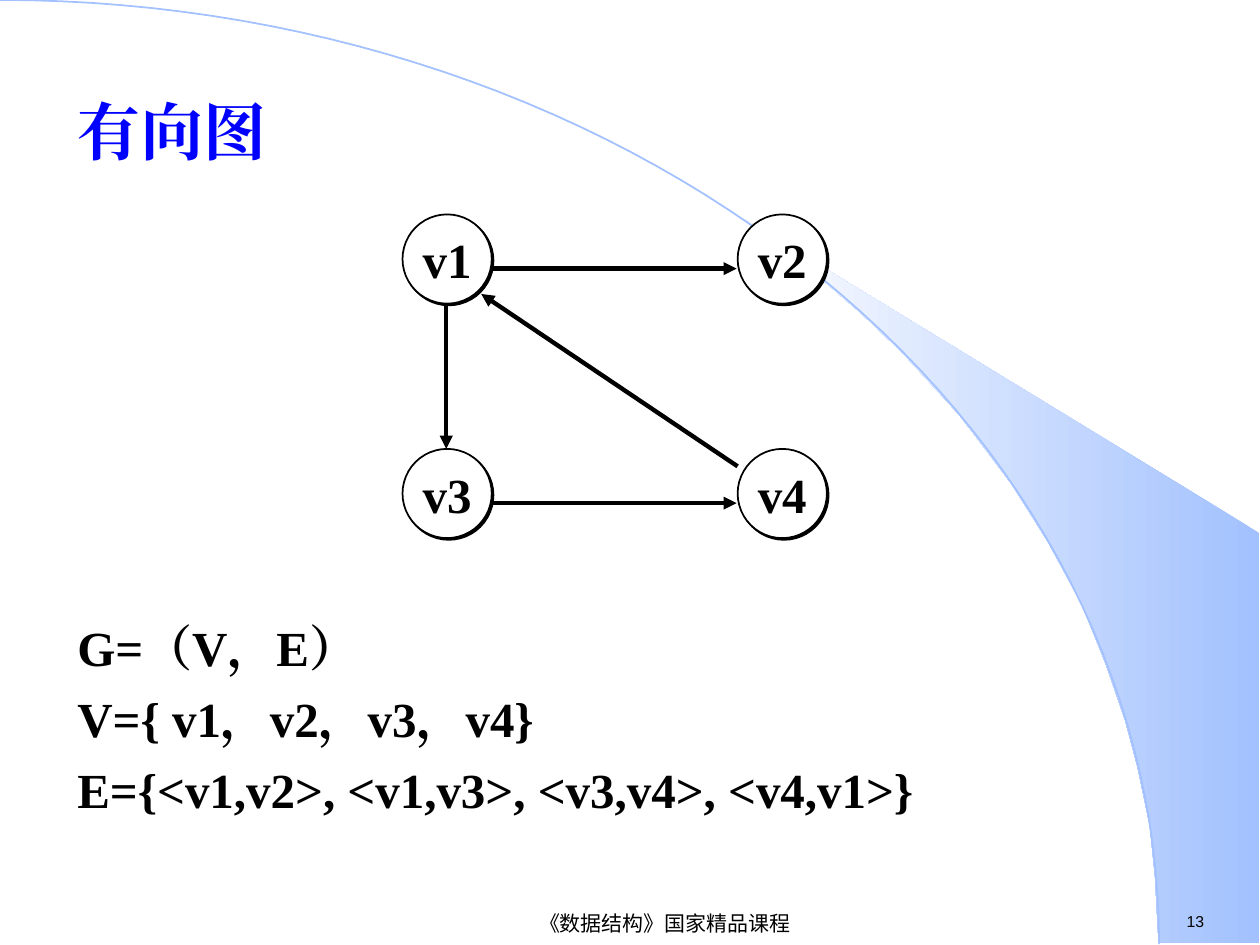
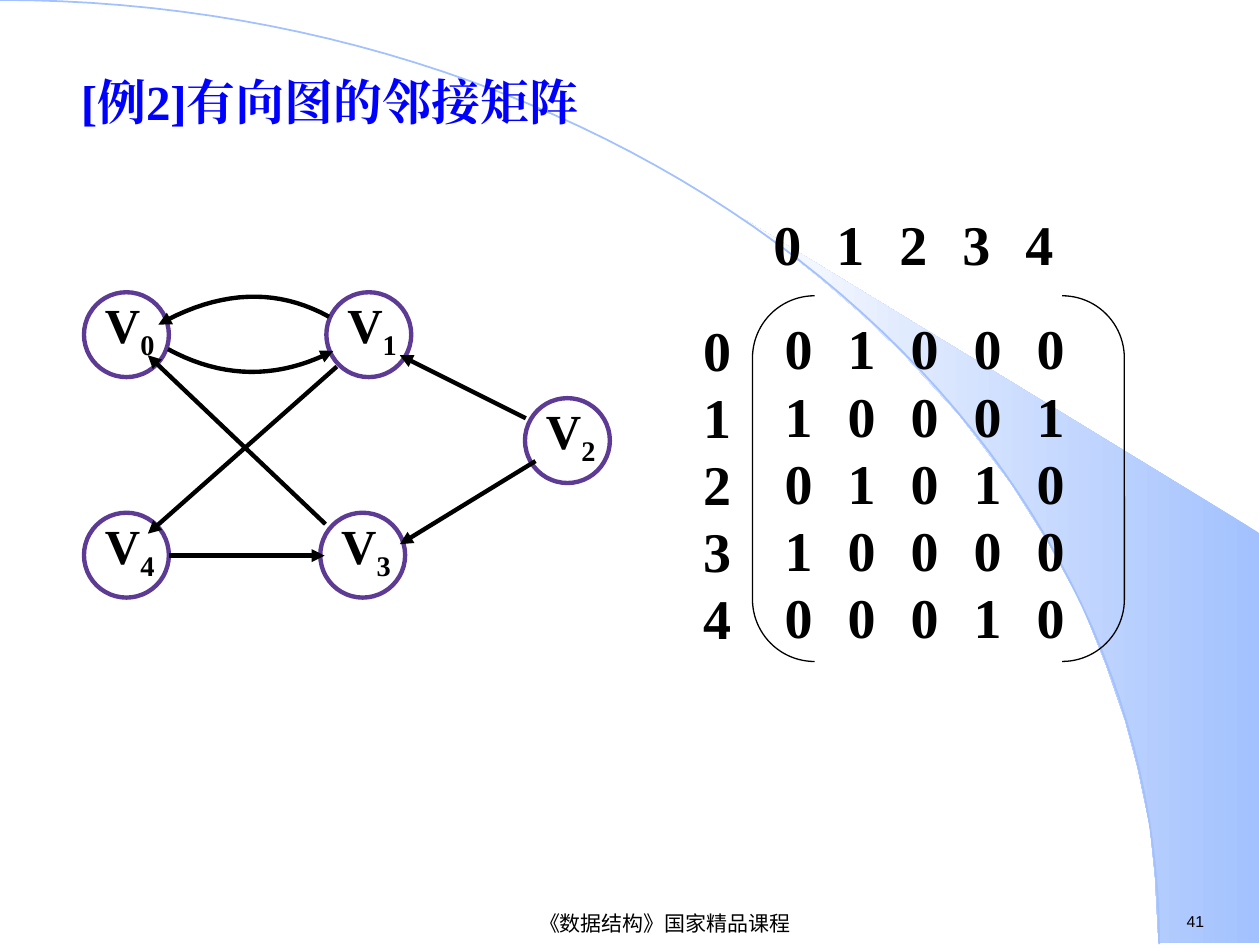
import math

from lxml import etree
from pptx import Presentation
from pptx.dml.color import RGBColor
from pptx.enum.shapes import MSO_CONNECTOR, MSO_SHAPE
from pptx.enum.text import MSO_ANCHOR, MSO_AUTO_SIZE, PP_ALIGN
from pptx.oxml.ns import qn
from pptx.util import Pt

BLACK = RGBColor(0x00, 0x00, 0x00)
WHITE = RGBColor(0xFF, 0xFF, 0xFF)
TITLE_BLUE = RGBColor(0x00, 0x00, 0xFF)
BAND_BLUE = RGBColor(0xA2, 0xC1, 0xFE)
BAND_WHITE = RGBColor(0xFE, 0xFE, 0xFE)
NODE_PURPLE = RGBColor(0x5D, 0x3B, 0x95)

SERIF, SANS = "Times New Roman", "Arial"
OVAL, BRACKETS = MSO_SHAPE.OVAL, MSO_SHAPE.DOUBLE_BRACKET
STRAIGHT = MSO_CONNECTOR.STRAIGHT
LEFT, CENTER = PP_ALIGN.LEFT, PP_ALIGN.CENTER
TOP, MIDDLE = MSO_ANCHOR.TOP, MSO_ANCHOR.MIDDLE
NO_FIT = MSO_AUTO_SIZE.NONE


def write(sp, text, size=28, color=BLACK, font=SERIF, bold=True, align=LEFT,
          anchor=TOP, wrap=True, inset=(0, 0), space=0, tab_gap=0):
    """Fill a shape with one paragraph per line; "_" starts a subscript."""
    tf = sp.text_frame
    tf.auto_size, tf.word_wrap, tf.vertical_anchor = NO_FIT, wrap, anchor
    tf.margin_left = tf.margin_right = Pt(inset[0])
    tf.margin_top = tf.margin_bottom = Pt(inset[1])
    for i, line in enumerate(text.split("\n")):
        p = tf.add_paragraph() if i else tf.paragraphs[0]
        pPr = p._p.get_or_add_pPr()
        pPr.set("marL", "0")
        pPr.set("indent", "0")
        etree.SubElement(pPr, qn("a:buNone"))
        if tab_gap:
            tabs = etree.SubElement(pPr, qn("a:tabLst"))
            for n in range(1, line.count("\t") + 1):
                etree.SubElement(tabs, qn("a:tab"), pos=str(Pt(n * tab_gap)), algn="l")
        p.alignment = align
        p.line_spacing = Pt(1.2 * size)
        p.space_before = Pt(space if i else 0)
        for n, part in enumerate(line.split("_")):
            r = p.add_run()
            r.text = part
            r.font.size, r.font.bold, r.font.name = Pt(size), bold, font
            r.font.color.rgb = color
            rPr = r._r.get_or_add_rPr()
            etree.SubElement(rPr, qn("a:ea"), typeface=font)
            if n:
                rPr.set("baseline", "-25000")


def add_arrow(slide, points):
    """Draw an arrow along the points, with its head at the last one."""
    points = [(Pt(x), Pt(y)) for x, y in points]
    if len(points) == 2:
        sp = slide.shapes.add_connector(STRAIGHT, *points[0], *points[1])
        etree.SubElement(sp._element.spPr, qn("a:effectLst"))
    else:
        path = slide.shapes.build_freeform(*points[0])
        path.add_line_segments(points[1:], close=False)
        sp = path.convert_to_shape()
        sp.shadow.inherit = False
        sp.fill.background()
    sp.line.color.rgb = BLACK
    sp.line.width = Pt(2.5)
    etree.SubElement(sp._element.spPr.find(qn("a:ln")), qn("a:tailEnd"), type="triangle")


prs = Presentation()
prs.slide_width, prs.slide_height = Pt(720), Pt(540)
graph_slide = prs.slides.add_slide(prs.slide_layouts[1])
matrix_slide = prs.slides.add_slide(prs.slide_layouts[5])

# Shared background and footer, kept on the slide master
BAND = [(662, 538.5), (719.5, 539), (719.5, 304.5), (424, 124.5), (449, 143),
        (470, 160), (493, 180), (515.5, 201.5), (548.5, 237.5), (578, 276.5),
        (599, 310), (618, 345), (632, 380), (643, 412), (650, 438.5),
        (657, 472), (660, 501)]
path = graph_slide.shapes.build_freeform(*[Pt(v) for v in BAND[0]])
path.add_line_segments([(Pt(x), Pt(y)) for x, y in BAND[1:]], close=True)
band = path.convert_to_shape()
band.shadow.inherit = False
band.line.fill.background()
band.fill.gradient()
band.fill.gradient_angle = 180
for stop, color in zip(band.fill.gradient_stops, (BAND_BLUE, BAND_WHITE)):
    stop.color.rgb = color

STEPS = 60
angles = [math.pi / 2 * i / STEPS for i in range(1, STEPS + 1)]
path = graph_slide.shapes.build_freeform(0, 0)
path.add_line_segments([(Pt(662.4 * math.sin(a)), Pt(539.5 * (1 - math.cos(a))))
                        for a in angles], close=False)
arc = path.convert_to_shape()
arc.shadow.inherit = False
arc.fill.background()
arc.line.color.rgb = BAND_BLUE
arc.line.width = Pt(1)

footer = graph_slide.shapes.add_textbox(Pt(173), Pt(519), Pt(414), Pt(17.5))
write(footer, "《数据结构》国家精品课程", size=12, font=SANS, bold=False,
      align=CENTER, anchor=MIDDLE, wrap=False, inset=(7.2, 3.6))

for n, sp in enumerate((band, arc, footer)):
    sp._element.nvSpPr.cNvPr.set("id", str(101 + n))
    prs.slide_master.element.cSld.spTree.append(sp._element)

# Titles and slide numbers
for slide, number, title, size, left, top in (
        (graph_slide, "13", "有向图", 36, 37, 49),
        (matrix_slide, "41", "[例2]有向图的邻接矩阵", 28, 39, 37.5)):
    sp = slide.shapes.title
    sp.left, sp.top, sp.width, sp.height = Pt(left), Pt(top), Pt(600), Pt(52)
    write(sp, title, size=size, color=TITLE_BLUE, inset=(7.2, 3.6))
    sp = slide.shapes.add_textbox(Pt(671), Pt(517.5), Pt(55), Pt(18))
    write(sp, number, size=9, font=SANS, bold=False, wrap=False, inset=(7.2, 3.6))

# Slide 1: directed graph and its sets
body = graph_slide.placeholders[1]
body.left, body.top, body.width, body.height = Pt(37), Pt(349.5), Pt(641), Pt(136)
write(body, "G=（V，E）\nV={ v1，v2，v3，v4}\nE={<v1,v2>, <v1,v3>, <v3,v4>, <v4,v1>}",
      inset=(7.2, 3.6), space=7)

for i in range(4):
    row, col = divmod(i, 2)
    node = graph_slide.shapes.add_shape(OVAL, Pt(230 + 191.5 * col), Pt(122.5 + 134 * row),
                                        Pt(51), Pt(51))
    node.fill.solid()
    node.fill.fore_color.rgb = WHITE
    node.line.color.rgb = BLACK
    node.line.width = Pt(1)
    node.shadow.inherit = False
    effects = node._element.spPr.find(qn("a:effectLst"))
    shadow = etree.SubElement(effects, qn("a:outerShdw"), dist=str(Pt(1.4)),
                              dir="2700000", algn="ctr", rotWithShape="0")
    etree.SubElement(shadow, qn("a:srgbClr"), val=str(BLACK))
    write(node, f"v{i + 1}", align=CENTER, anchor=MIDDLE, wrap=False)

for edge in ([(281, 153.5), (421, 153.5)], [(255, 174), (255, 256.5)],
             [(281, 287.5), (421, 287.5)], [(421.5, 266.5), (275, 168)]):
    add_arrow(graph_slide, edge)

# Slide 2: directed graph
for i, (x, y) in enumerate([(48, 167), (186.5, 167), (300, 227.5), (183, 293), (48, 293)]):
    label = matrix_slide.shapes.add_textbox(Pt(x + 12), Pt(y + 6), Pt(36), Pt(43))
    write(label, f"V_{i}")
    node = matrix_slide.shapes.add_shape(OVAL, Pt(x), Pt(y), Pt(48.5), Pt(48.5))
    node.shadow.inherit = False
    node.fill.background()
    node.line.color.rgb = NODE_PURPLE
    node.line.width = Pt(2.5)

for edge in ([(300.5, 239), (228.5, 203)], [(306, 263.5), (228.5, 311)],
             [(96.5, 317.5), (185.5, 317.5)], [(192.5, 209.5), (84.5, 305)],
             [(186, 299.5), (84.5, 203)]):
    add_arrow(matrix_slide, edge)

for start, bend, end in (((188, 181), (143, 156), (90.5, 185.5)),
                         ((96, 199.5), (143, 225), (190.5, 200.5))):
    add_arrow(matrix_slide, [
        [(1 - t) ** 2 * a + 2 * t * (1 - t) * b + t ** 2 * c
         for a, b, c in zip(start, bend, end)]
        for t in [i / 20 for i in range(21)]])

# Slide 2: adjacency matrix with row and column numbers
MATRIX = ["01000", "10001", "01010", "10000", "00010"]
row_numbers = matrix_slide.shapes.add_textbox(Pt(390), Pt(180), Pt(39.5), Pt(192))
write(row_numbers, "\n".join("01234"), size=32, align=CENTER)

brackets = matrix_slide.shapes.add_shape(BRACKETS, Pt(430), Pt(169), Pt(212.5), Pt(209))
brackets.adjustments[0] = 0.17
brackets.shadow.inherit = False
brackets.fill.background()
brackets.line.color.rgb = BLACK
brackets.line.width = Pt(0.75)
write(brackets, "\n".join("\t".join(row) for row in MATRIX), size=32,
      inset=(8, 0), tab_gap=40)

column_numbers = matrix_slide.shapes.add_textbox(Pt(442), Pt(120), Pt(188), Pt(50))
write(column_numbers, "\t".join("01234"), size=32, tab_gap=40.9)

prs.save("out.pptx")
